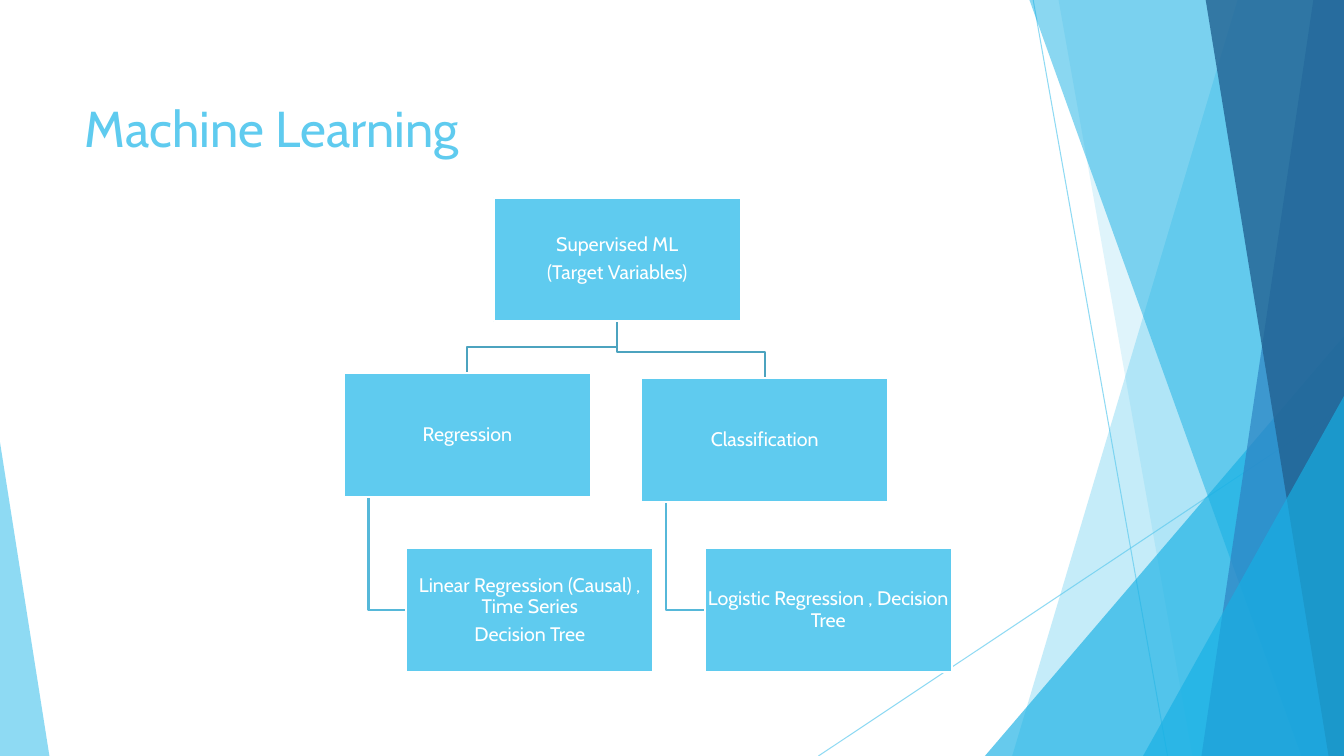
from lxml.etree import SubElement
from pptx import Presentation
from pptx.dml.color import RGBColor
from pptx.enum.shapes import MSO_CONNECTOR, MSO_SHAPE
from pptx.enum.text import MSO_ANCHOR, PP_ALIGN
from pptx.oxml.ns import qn
from pptx.util import Pt

FONT = "Cabin"
HEX = {"sky": "5FCBEF", "cyan": "17B0E4", "blue": "2E83C3", "navy": "226292",
       "white": "FFFFFF", "stem": "4CA3BF", "side": "56B8D9"}


def tone(name):
    return RGBColor.from_string(HEX[name])


def fade(part, alpha):
    for color in part.iter(qn("a:srgbClr")):
        SubElement(color, qn("a:alpha"), val=str(alpha * 1000))


def paint(shape, color, alpha):
    shape.shadow.inherit = False
    shape.fill.solid()
    shape.fill.fore_color.rgb = tone(color)
    shape.line.fill.background()
    fade(shape._element.spPr, alpha)


def trace(slide, points, close):
    spots = [(Pt(x), Pt(y)) for x, y in points]
    pen = slide.shapes.build_freeform(*spots[0], scale=1.0)
    pen.add_line_segments(spots[1:], close=close)
    shape = pen.convert_to_shape()
    shape.shadow.inherit = False
    return shape


def write(para, text, size, color):
    run = para.add_run()
    run.text = text
    run.font.name = FONT
    run.font.size = Pt(size)
    run.font.color.rgb = tone(color)


def add_ray(slide, start, end):
    ray = slide.shapes.add_connector(
        MSO_CONNECTOR.STRAIGHT, *[Pt(v) for v in start + end])
    ray.line.color.rgb = tone("sky")
    ray.line.width = Pt(0.75)
    fade(ray._element.spPr, 70)
    SubElement(ray._element.spPr, qn("a:effectLst"))


def add_wedge(slide, box, tip, color, alpha):
    wedge = slide.shapes.add_shape(
        MSO_SHAPE.ISOSCELES_TRIANGLE, *[Pt(v) for v in box])
    wedge.adjustments[0] = tip
    paint(wedge, color, alpha)


def add_facet(slide, box, top, base, color, alpha):
    x, y, w, h = box
    points = [(x + top, y - 0.7), (x + w, y - 0.7), (x + w, y + h), (x + base, y + h)]
    paint(trace(slide, points, True), color, alpha)


def add_decor(slide, box):
    x, y, w, h = box
    right, foot = x + w, y + h
    add_ray(slide, (x + 738, y), (x + 834, foot))
    add_ray(slide, (right, y + 290), (x + 584.6, foot))
    add_facet(slide, box, 884.2, 723, "sky", 36)
    add_facet(slide, box, 756, 851.8, "sky", 20)
    add_wedge(slide, (right - 256.5, foot - 300, 256.5, 300), 1, "cyan", 66)
    add_facet(slide, box, 735.1, 929.5, "cyan", 50)
    add_facet(slide, box, 938.2, 858.2, "blue", 70)
    add_facet(slide, box, 861.1, 949, "navy", 80)
    add_wedge(slide, (right - 143.5, foot - 257, 143.5, 257), 1, "cyan", 66)
    add_wedge(slide, (x, foot - 224, 35.3, 224), 0, "sky", 70)


def add_title(slide, box, text):
    frame = slide.shapes.add_textbox(*[Pt(v) for v in box]).text_frame
    frame.word_wrap = True
    write(frame.paragraphs[0], text, 36, "sky")


def add_node(slide, box, lines):
    node = slide.shapes.add_shape(MSO_SHAPE.RECTANGLE, *[Pt(v) for v in box])
    paint(node, "sky", 100)
    node.line.color.rgb = tone("white")
    node.line.width = Pt(1.5)
    frame = node.text_frame
    frame.word_wrap = True
    frame.vertical_anchor = MSO_ANCHOR.MIDDLE
    frame.margin_left = frame.margin_right = Pt(0.7)
    frame.margin_top = frame.margin_bottom = Pt(0.7)
    for i, text in enumerate(lines):
        para = frame.add_paragraph() if i else frame.paragraphs[0]
        para.alignment = PP_ALIGN.CENTER
        para.line_spacing = 0.9
        para.space_after = Pt(4.7)
        write(para, text, 14, "white")


def add_link(slide, points, color):
    link = trace(slide, points, False)
    link.fill.background()
    link.line.color.rgb = tone(color)
    link.line.width = Pt(1.5)


def add_stem(slide, head, kid):
    x, y, w, h = head
    mid, end = x + w / 2, kid[0] + w / 2
    bend = kid[1] - 18.6
    add_link(slide, [(mid, y + h), (mid, bend), (end, bend), (end, kid[1])], "stem")


def add_side(slide, head, kid):
    x, y, w, h = head
    edge, level = x + w / 10, kid[1] + h / 2
    add_link(slide, [(edge, y + h), (edge, level), (kid[0], level)], "side")


def add_tree(slide, box):
    x, y, w, h = box
    wide, high = 176.6, 88.3

    def place(left, top):
        return x + left, y + top, wide, high

    low = h - high
    root = place(107, 0)
    regress, classes = place(0, low / 2), place(w - wide - 45.4, low / 2 + 3.6)
    linear, logit = place(44.6, low), place(w - wide, low)
    add_side(slide, classes, logit)
    add_stem(slide, root, classes)
    add_side(slide, regress, linear)
    add_stem(slide, root, regress)
    add_node(slide, root, ["Supervised ML", "(Target Variables)"])
    add_node(slide, regress, ["Regression"])
    add_node(slide, linear, ["Linear Regression (Causal) , Time Series", "Decision Tree"])
    add_node(slide, classes, ["Classification"])
    add_node(slide, logit, ["Logistic Regression , Decision Tree"])


def main():
    deck = Presentation()
    deck.slide_width, deck.slide_height = Pt(960), Pt(540)
    slide = deck.slides.add_slide(deck.slide_layouts[6])
    add_decor(slide, (0, 0, 960, 540))
    add_title(slide, (53.3, 65.5, 677, 104), "Machine Learning")
    add_tree(slide, (245.6, 141.2, 434.4, 338.8))
    deck.save("out.pptx")


if __name__ == "__main__":
    main()
